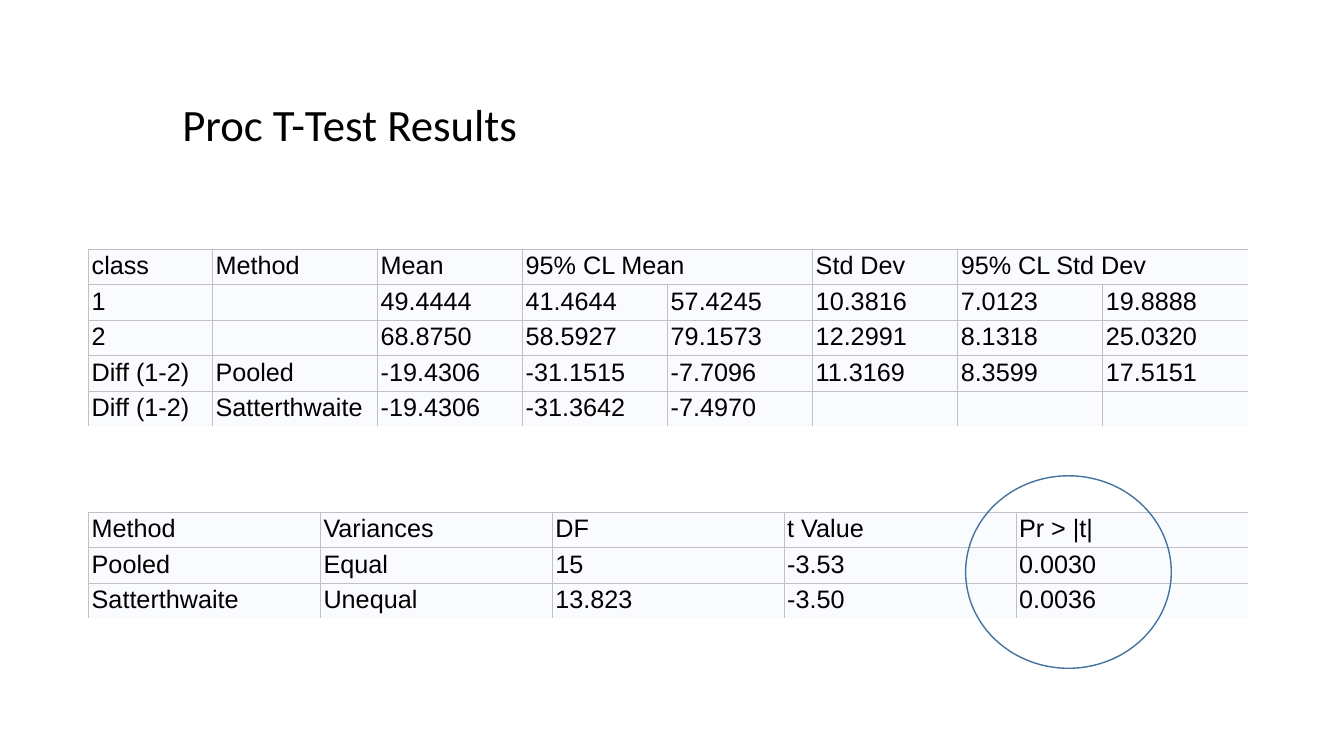
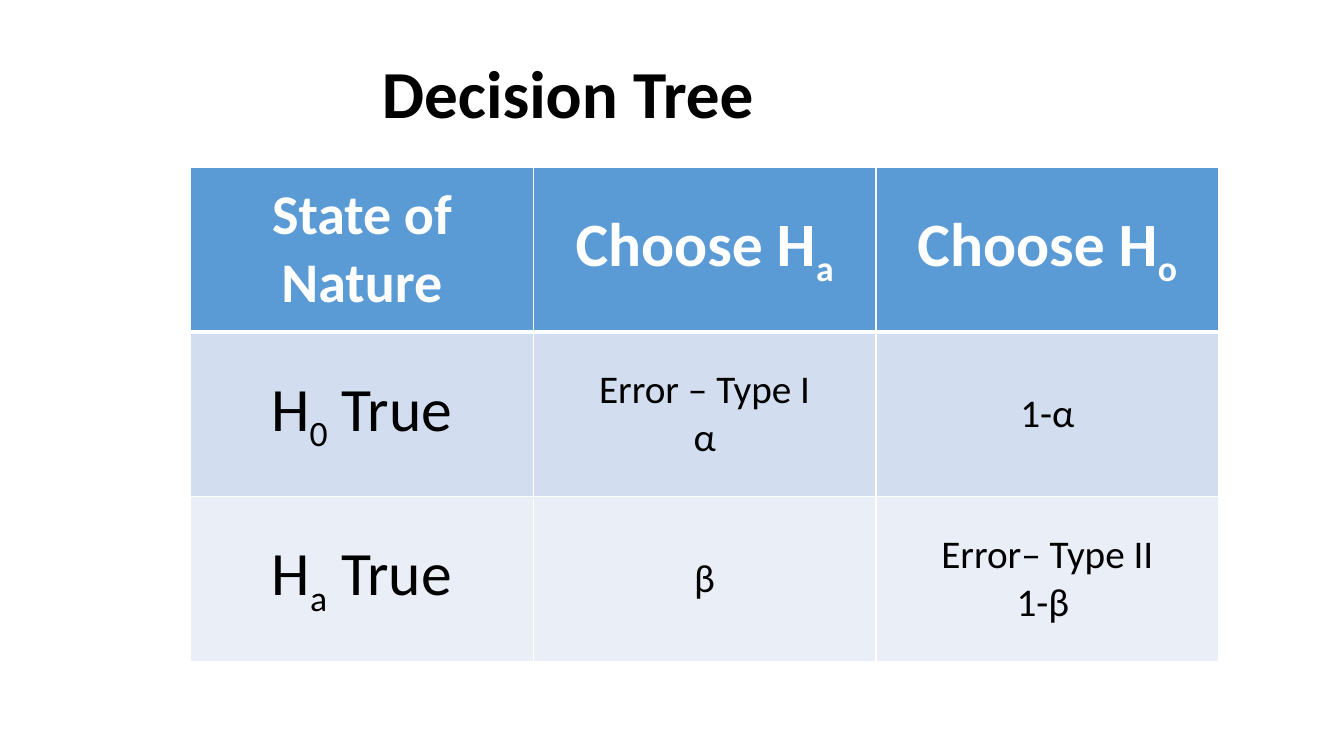
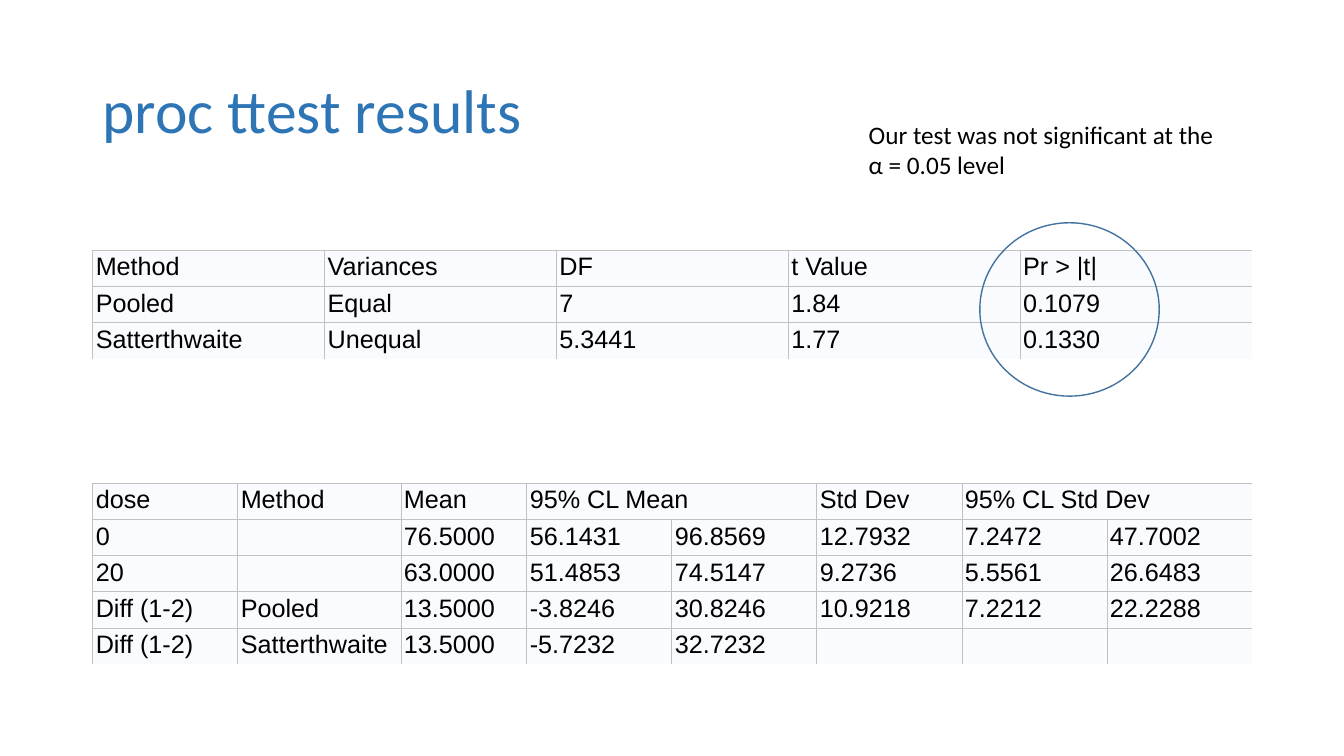
import collections

import lxml.etree
import pptx
import pptx.dml.color
import pptx.enum.shapes
import pptx.enum.text
import pptx.oxml.ns
import pptx.util

# Lengths are columns and rows of a grid with cells of a tenth of an inch.
GRID = pptx.util.Inches(0.1)
SLIDE_COLUMNS, SLIDE_ROWS = 133.33, 75
Box = collections.namedtuple("Box", "left top width height")

BLACK, WHITE, TITLE_BLUE = "000000", "FFFFFF", "2E75B6"
STATS_FILL, STATS_RULE, RING_BLUE = "FAFBFE", "C1C1C1", "43739E"
DECISION_FILLS = ["5B9BD5", "D2DEEF", "EAEFF7"]
HEADING_FONT, STATS_FONT = "Calibri", "Arial"
STATS_ROW, STATS_INSET = 3.52, 0.3
TEST_HEADER = ["Method", "Variances", "DF", "t Value", "Pr > |t|"]
CENTER = pptx.enum.text.PP_ALIGN.CENTER
MIDDLE = pptx.enum.text.MSO_ANCHOR.MIDDLE


def color(hex_code):
    return pptx.dml.color.RGBColor.from_string(hex_code)


def grid(cells):
    return round(cells * GRID)


def place(box):
    return [grid(cells) for cells in box]


def style(font, size, name=HEADING_FONT, ink=BLACK, bold=False):
    font.size, font.name, font.bold = pptx.util.Pt(size), name, bold
    font.color.rgb = color(ink)


def add_text(slide, box, lines, size, ink=BLACK, bold=False, wrap=True, spacing=1.0):
    frame = slide.shapes.add_textbox(*place(box)).text_frame
    frame.word_wrap = wrap
    frame.text = "\n".join(lines)
    for paragraph in frame.paragraphs:
        paragraph.line_spacing = spacing
        style(paragraph.font, size, ink=ink, bold=bold)
    return frame


def add_plain_table(slide, box, row_count, column_shares):
    """Add a table without banding; columns share the width of the box."""
    table = slide.shapes.add_table(row_count, len(column_shares), *place(box)).table
    table.first_row = table.horz_banding = False
    for column, share in zip(table.columns, column_shares):
        column.width = grid(box.width * share / sum(column_shares))
    for row in table.rows:
        row.height = grid(box.height / row_count)
    return table


def paint_cell(cell, fill, rule, **widths):
    """Fill a cell and rule the sides L, R, T, B named with a width in points."""
    cell.fill.solid()
    cell.fill.fore_color.rgb = color(fill)
    properties = cell._tc.get_or_add_tcPr()
    qn = pptx.oxml.ns.qn
    for position, side in enumerate("LRTB"):
        line = lxml.etree.Element(qn("a:ln" + side))
        if widths.get(side):
            line.set("w", str(pptx.util.Pt(widths[side])))
            solid = lxml.etree.SubElement(line, qn("a:solidFill"))
            lxml.etree.SubElement(solid, qn("a:srgbClr"), val=rule)
        else:
            lxml.etree.SubElement(line, qn("a:noFill"))
        properties.insert(position, line)


def add_stats_table(slide, left, top, width, rows, column_shares):
    """Add a ruled table, open at right and bottom; None joins a cell to its left one."""
    box = Box(left, top, width, STATS_ROW * len(rows))
    table = add_plain_table(slide, box, len(rows), column_shares)
    last_row, last_column = len(rows) - 1, len(column_shares) - 1
    for r, row in enumerate(rows):
        for c, value in enumerate(row):
            if value is None:
                continue
            cell = table.cell(r, c)
            end = c
            if c < last_column and row[c + 1] is None:
                end = c + 1
                cell.merge(table.cell(r, end))
            cell.text = value
            style(cell.text_frame.paragraphs[0].font, 18, STATS_FONT)
            cell.margin_left = cell.margin_right = grid(STATS_INSET)
            cell.margin_top = cell.margin_bottom = grid(STATS_INSET if value else 0)
            paint_cell(cell, STATS_FILL, STATS_RULE, L=0.5, T=0.5,
                       R=0.5 * (end < last_column), B=0.5 * (r < last_row))


def add_estimates(slide, left, top, group, rows, column_shares):
    header = [group, "Method", "Mean", "95% CL Mean", None,
              "Std Dev", "95% CL Std Dev", None]
    add_stats_table(slide, left, top, 115, [header] + rows, column_shares)


def add_test(slide, left, top, rows, ring):
    """Add the t test table and a ring, placed from the table's corner, on its p values."""
    add_stats_table(slide, left, top, 115, [TEST_HEADER] + rows, [1] * 5)
    ring_box = ring._replace(left=left + ring.left, top=top + ring.top)
    circle = slide.shapes.add_shape(pptx.enum.shapes.MSO_SHAPE.OVAL, *place(ring_box))
    circle.shadow.inherit = False
    circle.fill.background()
    circle.line.color.rgb = color(RING_BLUE)
    circle.line.width = pptx.util.Pt(1)


def add_decision_table(slide, box, rows):
    """Cells are (size, lines); in a line every second part is a subscript."""
    table = add_plain_table(slide, box, len(rows), [1] * len(rows[0]))
    for r, row in enumerate(rows):
        for c, (size, lines) in enumerate(row):
            cell = table.cell(r, c)
            cell.vertical_anchor = MIDDLE
            frame = cell.text_frame
            for number, parts in enumerate(lines):
                paragraph = frame.add_paragraph() if number else frame.paragraphs[0]
                paragraph.alignment = CENTER
                style(paragraph.font, size, ink=BLACK if r else WHITE, bold=r == 0)
                for index, part in enumerate(parts):
                    run = paragraph.add_run()
                    run.text = part
                    if index % 2:
                        run._r.get_or_add_rPr().set("baseline", "-25000")
            paint_cell(cell, DECISION_FILLS[r], WHITE, L=1, R=1,
                       T=3 if r == 1 else 1, B=3 if r == 0 else 1)


def build_class_results(slide):
    add_estimates(slide, 8.8, 24.7, "class", [
        ["1", "", "49.4444", "41.4644", "57.4245", "10.3816", "7.0123", "19.8888"],
        ["2", "", "68.8750", "58.5927", "79.1573", "12.2991", "8.1318", "25.0320"],
        ["Diff (1-2)", "Pooled", "-19.4306", "-31.1515", "-7.7096",
         "11.3169", "8.3599", "17.5151"],
        ["Diff (1-2)", "Satterthwaite", "-19.4306", "-31.3642", "-7.4970", "", "", ""],
    ], [1.23, 1.64] + [1.44] * 6)
    add_test(slide, 8.8, 50.8, [
        ["Pooled", "Equal", "15", "-3.53", "0.0030"],
        ["Satterthwaite", "Unequal", "13.823", "-3.50", "0.0036"],
    ], Box(87, -3.6, 20.4, 19.1))
    add_text(slide, Box(17.1, 9.1, 35.9, 6.4), ["Proc T-Test Results"], 32, wrap=False)


def build_decision_tree(slide):
    add_decision_table(slide, Box(18.9, 16.6, 102, 49), [
        [(40, [["State of Nature"]]), (44, [["Choose H", "a"]]), (44, [["Choose H", "o"]])],
        [(44, [["H", "0", " True"]]), (28, [["Error – Type I"], ["α"]]), (28, [["1-α"]])],
        [(44, [["H", "a", " True"]]), (28, [["β"]]), (28, [["Error– Type II"], ["1-β "]])],
    ])
    add_text(slide, Box(36.9, 4.6, 39.3, 9.1), ["Decision Tree"], 48, bold=True, wrap=False)


def build_dose_results(slide):
    title = add_text(slide, Box(9.2, 4, 115, 14.5), ["proc ttest results"], 44,
                     ink=TITLE_BLUE, spacing=0.9)
    title.vertical_anchor = MIDDLE
    add_estimates(slide, 9.2, 47.9, "dose", [
        ["0", "", "76.5000", "56.1431", "96.8569", "12.7932", "7.2472", "47.7002"],
        ["20", "", "63.0000", "51.4853", "74.5147", "9.2736", "5.5561", "26.6483"],
        ["Diff (1-2)", "Pooled", "13.5000", "-3.8246", "30.8246",
         "10.9218", "7.2212", "22.2288"],
        ["Diff (1-2)", "Satterthwaite", "13.5000", "-5.7232", "32.7232", "", "", ""],
    ], [1.44, 1.62, 1.25] + [1.44] * 5)
    add_test(slide, 9.2, 24.8, [
        ["Pooled", "Equal", "7", "1.84", "0.1079"],
        ["Satterthwaite", "Unequal", "5.3441", "1.77", "0.1330"],
    ], Box(88, -2.7, 17.8, 17.2))
    add_text(slide, Box(85.2, 11.3, 36.6, 7.1),
             ["Our test was not significant at the", "α = 0.05 level"], 18)


def main():
    deck = pptx.Presentation()
    deck.slide_width, deck.slide_height = grid(SLIDE_COLUMNS), grid(SLIDE_ROWS)
    blank = deck.slide_layouts[6]
    for build in (build_class_results, build_decision_tree, build_dose_results):
        build(deck.slides.add_slide(blank))
    deck.save("out.pptx")


if __name__ == "__main__":
    main()
